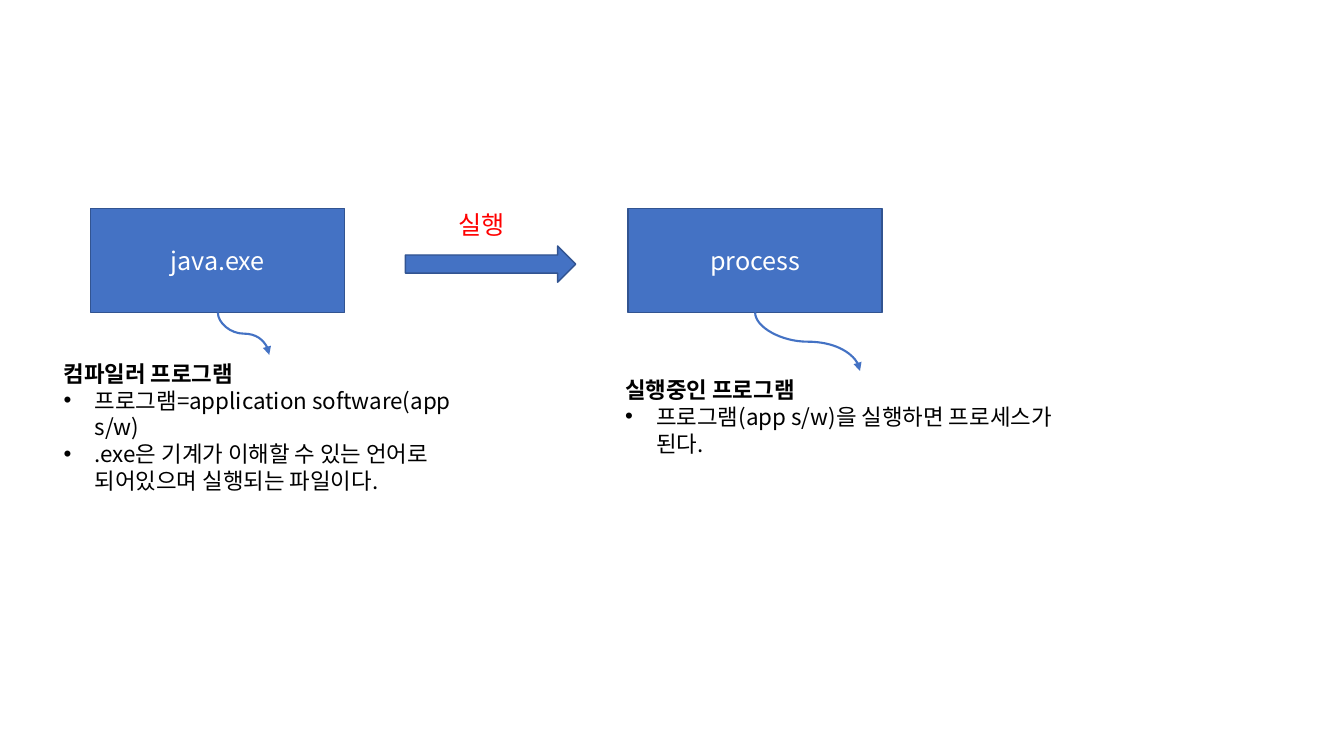
"""Builds a slide on how an executable becomes a process."""
from dataclasses import dataclass

from lxml import etree
from pptx import Presentation
from pptx.dml.color import RGBColor
from pptx.enum import shapes, text
from pptx.oxml import ns
from pptx.util import Inches, Pt


@dataclass(frozen=True)
class Theme:
    font: str = "Noto Sans CJK KR"
    blue: str = "4472C4"
    edge: str = "325491"
    white: str = "FFFFFF"
    black: str = "000000"
    red: str = "FF0000"
    big: int = 18
    small: int = 16


def add(node, tag, **attrs):
    return etree.SubElement(node, ns.qn(tag), **attrs)


class Deck:
    def __init__(self, theme):
        self.theme = theme
        self.prs = Presentation()
        self.prs.slide_width = Inches(13.33)
        self.prs.slide_height = Inches(7.5)
        self.slide = self.prs.slides.add_slide(self.prs.slide_layouts[3])
        title, *self.lists = self.slide.placeholders
        title.element.getparent().remove(title.element)

    def run(self, para, words, size, color, bold=False):
        run = para.add_run()
        run.text = words
        font = run.font
        font.size, font.bold, font.name = Pt(size), bold, self.theme.font
        font.color.rgb = RGBColor.from_string(color)
        add(font._element, "a:ea", typeface=self.theme.font)

    def shape(self, kind, x, y, w, h, words=""):
        box = self.slide.shapes.add_shape(kind, *map(Inches, (x, y, w, h)))
        box.shadow.inherit = False
        box.fill.solid()
        box.fill.fore_color.rgb = RGBColor.from_string(self.theme.blue)
        box.line.color.rgb = RGBColor.from_string(self.theme.edge)
        box.line.width = Pt(1)
        if words:
            frame = box.text_frame
            frame.vertical_anchor = text.MSO_ANCHOR.MIDDLE
            para = frame.paragraphs[0]
            para.alignment = text.PP_ALIGN.CENTER
            self.run(para, words, self.theme.big, self.theme.white)

    def label(self, x, y, w, h, words):
        box = self.slide.shapes.add_textbox(*map(Inches, (x, y, w, h)))
        box.text_frame.word_wrap = True
        self.run(box.text_frame.paragraphs[0], words,
                 self.theme.big, self.theme.red)

    def notes(self, body, x, y, w, h, head, items):
        body.left, body.top, body.width, body.height = map(
            Inches, (x, y, w, h))
        frame = body.text_frame
        frame.word_wrap = True
        frame.auto_size = text.MSO_AUTO_SIZE.NONE
        frame.vertical_anchor = text.MSO_ANCHOR.TOP
        for i, words in enumerate([head, *items]):
            para = frame.add_paragraph() if i else frame.paragraphs[0]
            para.alignment = text.PP_ALIGN.LEFT
            para.line_spacing = 1.0
            para.space_before = para.space_after = Pt(0)
            props = para._p.get_or_add_pPr()
            dent = Inches(0.31) if i else 0
            props.set("marL", str(dent))
            props.set("indent", str(-dent))
            if i:
                add(props, "a:buFont", typeface="Arial")
                add(props, "a:buChar", char="•")
            else:
                add(props, "a:buNone")
            self.run(para, words, self.theme.small, self.theme.black, not i)

    def curve(self, x, y, dx, dy):
        mx, my = x + dx / 2, y + dy / 2
        ends = mx + dy / 2, my - dx / 2, mx - dy / 2, my + dx / 2
        link = self.slide.shapes.add_connector(
            shapes.MSO_CONNECTOR.CURVE, *map(Inches, ends))
        link.line.color.rgb = RGBColor.from_string(self.theme.blue)
        link.line.width = Pt(1.5)
        props = link._element.spPr
        props.find(ns.qn("a:xfrm")).set("rot", str(270 * 60000))
        add(props.find(ns.qn("a:ln")), "a:tailEnd", type="triangle")
        add(props, "a:effectLst")


def main():
    deck = Deck(Theme())
    kind = shapes.MSO_SHAPE
    top, wide, high = 2.07, 2.52, 1.03
    parts = [
        (0.9, "java.exe", (0.51, 0.42), (0.53, 3.52, 4.28, 1.45),
         "컴파일러 프로그램",
         ["프로그램=application software(app s/w)",
          ".exe은 기계가 이해할 수 있는 언어로 되어있으며 실행되는 파일이다."]),
        (6.23, "process", (1.04, 0.58), (6.1, 3.68, 4.86, 0.91),
         "실행중인 프로그램",
         ["프로그램(app s/w)을 실행하면 프로세스가 된다."]),
    ]
    for body, (x, name, bend, area, head, items) in zip(deck.lists, parts):
        deck.shape(kind.RECTANGLE, x, top, wide, high, name)
        deck.curve(x + wide / 2, top + high, *bend)
        deck.notes(body, *area, head, items)
    deck.shape(kind.RIGHT_ARROW, 4.02, 2.44, 1.69, 0.36)
    deck.label(4.45, 2.03, 0.74, 0.4, "실행")
    deck.prs.save("out.pptx")


if __name__ == "__main__":
    main()
